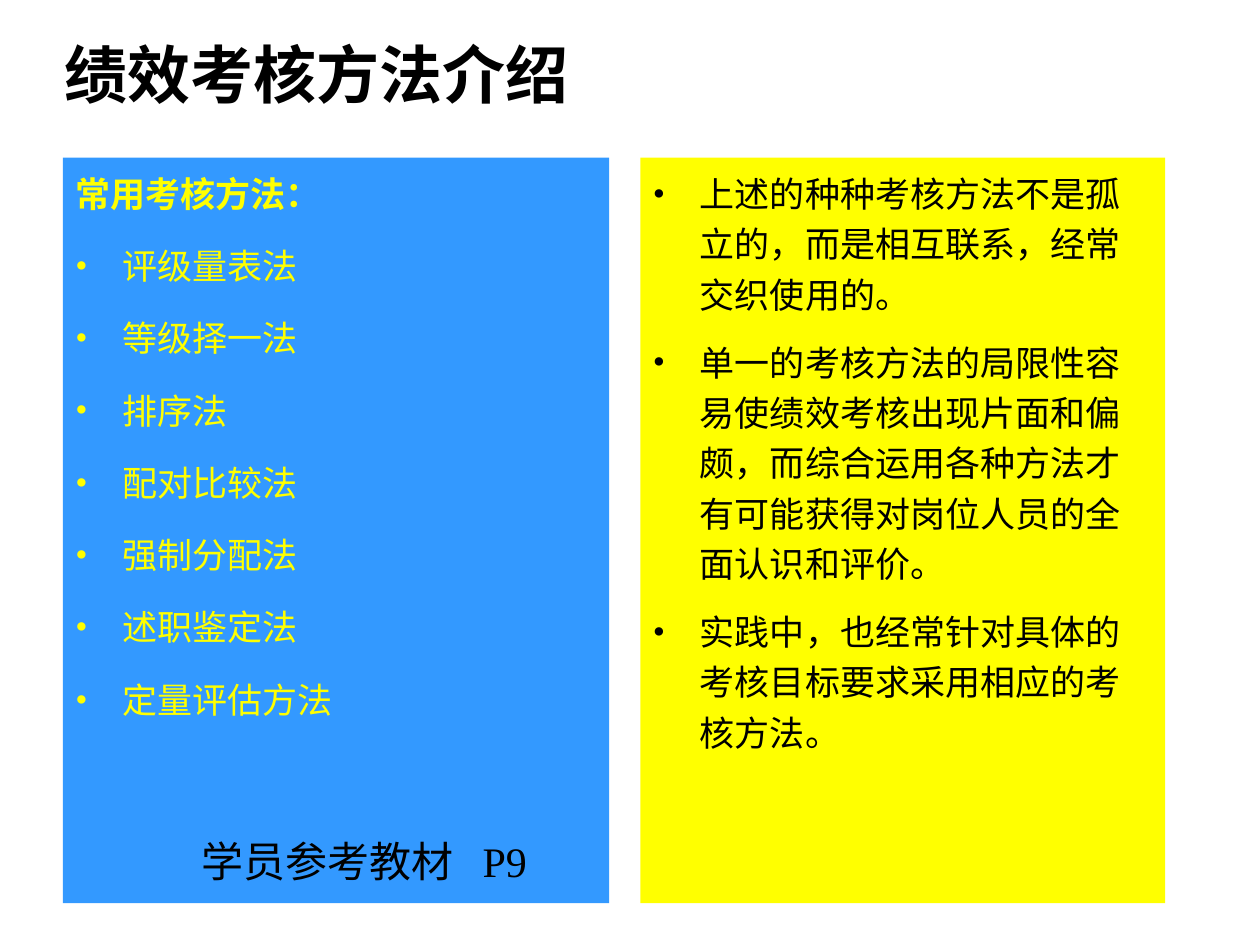
from lxml.etree import SubElement
from pptx import Presentation
from pptx.dml.color import RGBColor
from pptx.enum.shapes import MSO_SHAPE as Preset
from pptx.enum.text import MSO_ANCHOR as Anchor, MSO_AUTO_SIZE as AutoSize, PP_ALIGN as Align
from pptx.oxml.ns import qn
from pptx.util import Cm, Pt

BLACK, BLUE, YELLOW = "000000", "3399FF", "FFFF00"
PANEL_TOP, PANEL_HEIGHT = 3.18, 15.03
HANG = Cm(0.95)

METHODS = ["评级量表法", "等级择一法", "排序法", "配对比较法",
           "强制分配法", "述职鉴定法", "定量评估方法"]
REMARKS = [
    "上述的种种考核方法不是孤立的，而是相互联系，经常交织使用的。",
    "单一的考核方法的局限性容易使绩效考核出现片面和偏颇，"
    "而综合运用各种方法才有可能获得对岗位人员的全面认识和评价。",
    "实践中，也经常针对具体的考核目标要求采用相应的考核方法。",
]


def rgb(value):
    return RGBColor.from_string(value)


class SlideBuilder:
    font = "Times New Roman"
    body_size = 20

    def __init__(self, slide):
        self.slide = slide

    def run(self, paragraph, text, size, color, bold=False):
        run = paragraph.add_run()
        run.text = text
        run.font.name = self.font
        run.font.size = Pt(size)
        run.font.bold = bold
        run.font.color.rgb = rgb(color)

    def textbox(self, left, top, width, height, text, size, bold=False,
                anchor=Anchor.TOP, tab=None):
        """Add one line of black text; tab is an optional tab stop in cm."""
        box = self.slide.shapes.add_textbox(Cm(left), Cm(top), Cm(width), Cm(height))
        frame = box.text_frame
        frame.word_wrap = True
        frame.auto_size = AutoSize.NONE
        frame.vertical_anchor = anchor
        line = frame.paragraphs[0]
        if tab:
            stops = SubElement(line._p.get_or_add_pPr(), qn("a:tabLst"))
            SubElement(stops, qn("a:tab"), pos=str(Cm(tab)), algn="l")
        self.run(line, text, size, BLACK, bold)

    def bullet(self, paragraph, color):
        props = paragraph._p.get_or_add_pPr()
        SubElement(SubElement(props, qn("a:buClr")), qn("a:srgbClr"), val=color)
        SubElement(props, qn("a:buFont"), typeface=self.font)
        SubElement(props, qn("a:buChar"), char="•")

    def panel(self, left, width, fill, color, items, gap, heading=None):
        """Add a filled panel with an optional bold heading above its bullets."""
        panel = self.slide.shapes.add_shape(
            Preset.RECTANGLE, Cm(left), Cm(PANEL_TOP), Cm(width), Cm(PANEL_HEIGHT))
        panel.shadow.inherit = False
        panel.fill.solid()
        panel.fill.fore_color.rgb = rgb(fill)
        panel.line.fill.background()
        frame = panel.text_frame
        frame.word_wrap = True
        frame.vertical_anchor = Anchor.TOP
        entries = [heading, *items] if heading else items
        for index, entry in enumerate(entries):
            paragraph = frame.add_paragraph() if index else frame.paragraphs[0]
            props = paragraph._p.get_or_add_pPr()
            props.set("marL", str(HANG))
            props.set("indent", str(-HANG))
            is_heading = entry == heading
            if not is_heading:
                self.bullet(paragraph, color)
            paragraph.alignment = Align.LEFT
            paragraph.line_spacing = 1.2
            if index:
                paragraph.space_before = Pt(gap)
            self.run(paragraph, entry, self.body_size, color, is_heading)


def main():
    deck = Presentation()
    deck.slide_width, deck.slide_height = Cm(25.4), Cm(19.05)
    builder = SlideBuilder(deck.slides.add_slide(deck.slide_layouts[6]))
    builder.textbox(1.06, 0.64, 24.34, 1.69, "绩效考核方法介绍", 36,
                    bold=True, anchor=Anchor.MIDDLE)
    builder.panel(1.27, 11.01, BLUE, YELLOW, METHODS, 12.5, heading="常用考核方法：")
    builder.panel(12.91, 10.58, YELLOW, BLACK, REMARKS, 10)
    builder.textbox(3.81, 16.72, 12.07, 1.27, "学员参考教材\tP9", 24, tab=5.67)
    deck.save("out.pptx")


if __name__ == "__main__":
    main()
